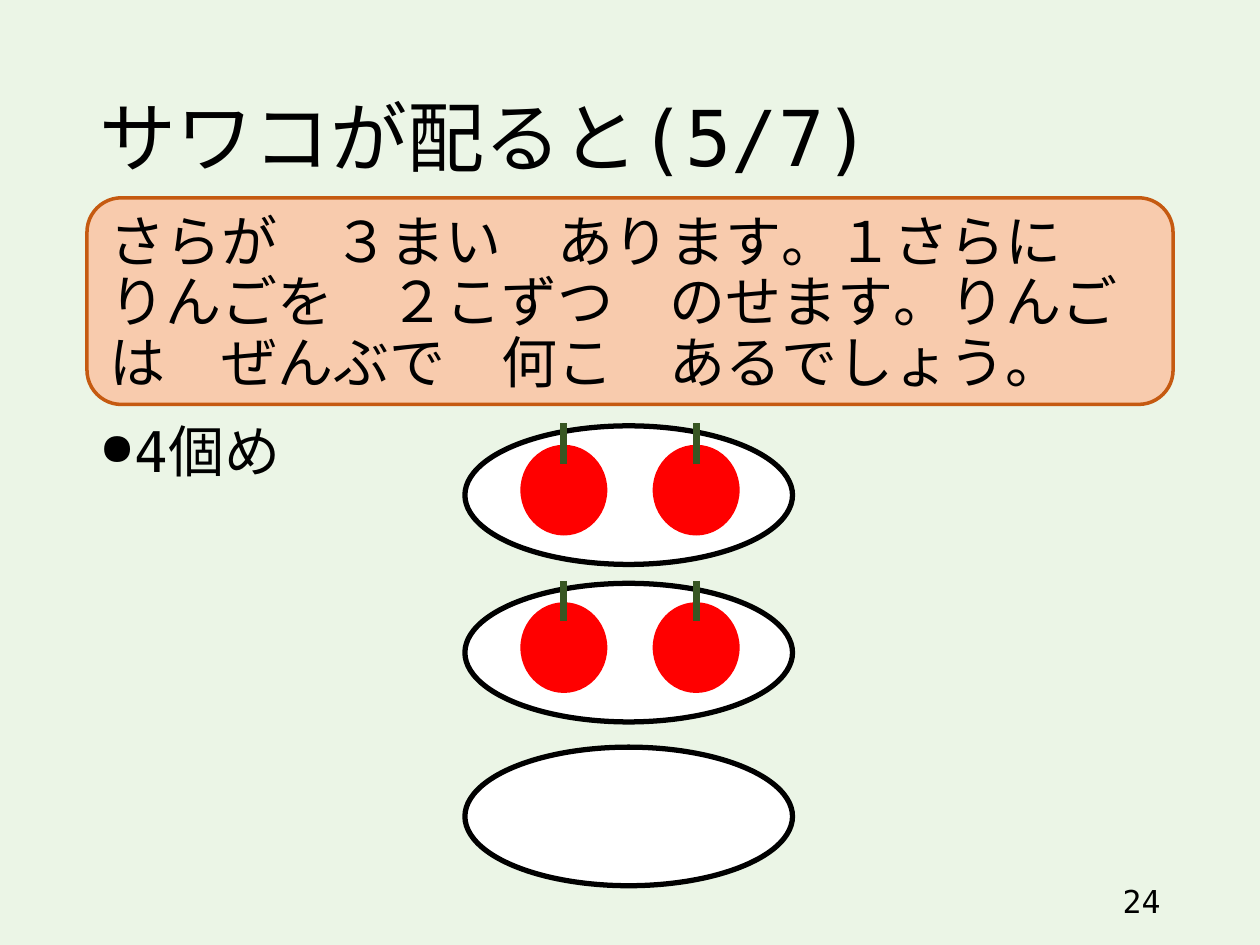
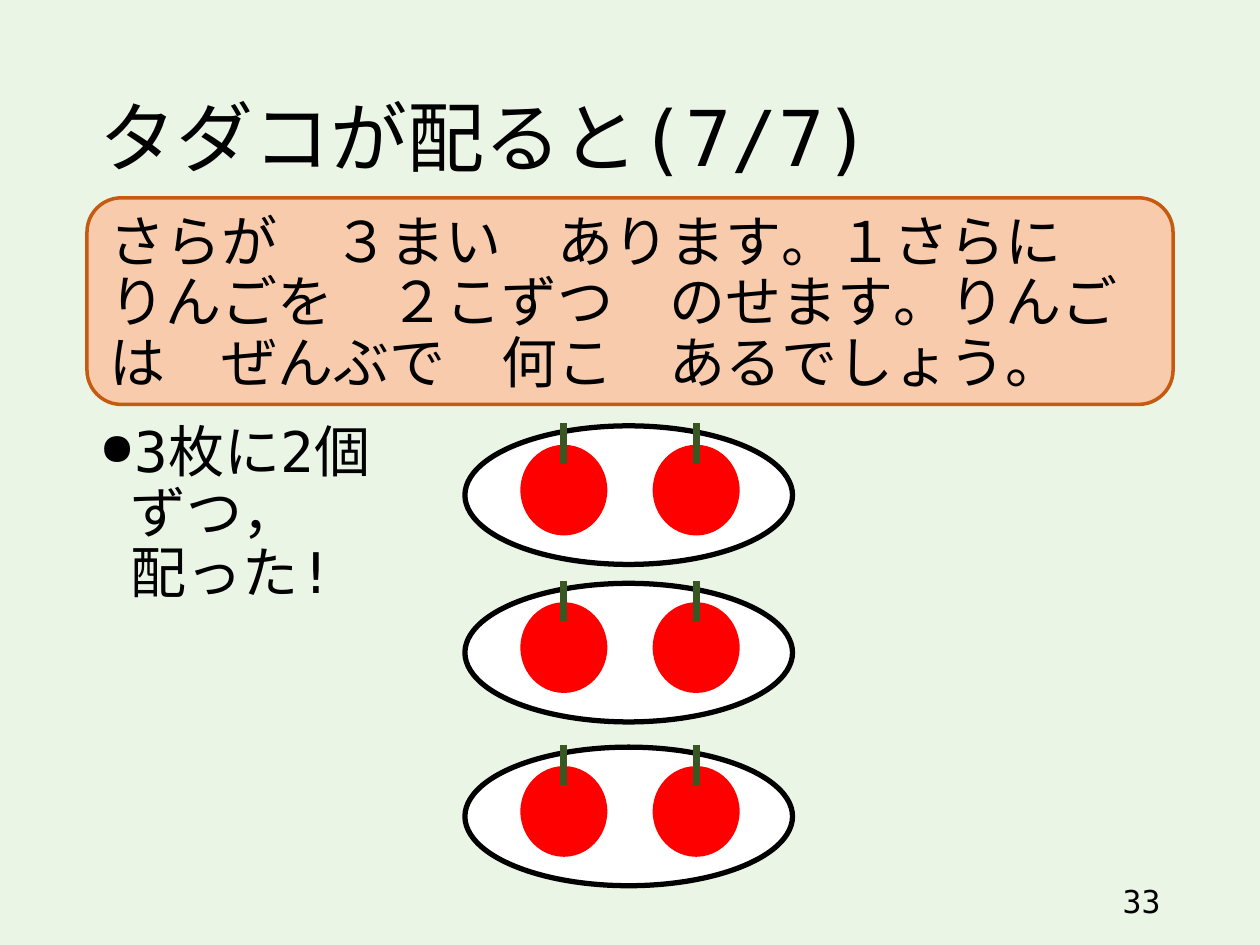
"""Build two slides that deal apples onto three plates."""
from lxml.etree import SubElement
from pptx import Presentation
from pptx.dml.color import RGBColor
from pptx.enum.lang import MSO_LANGUAGE_ID
from pptx.enum.shapes import MSO_CONNECTOR, MSO_SHAPE
from pptx.enum.text import MSO_ANCHOR, MSO_AUTO_SIZE, PP_ALIGN
from pptx.oxml.ns import qn
from pptx.util import Inches, Pt

PROBLEM = "さらが　３まい　あります。１さらに　りんごを　２こずつ　のせます。りんごは　ぜんぶで　何こ　あるでしょう。"
SLIDES = [
    {"title": "サワコが配ると(5/7)", "step": "4個め", "number": "24", "apples": (2, 2, 0)},
    {"title": "タダコが配ると(7/7)", "step": "3枚に2個\vずつ，\v配った!", "number": "33", "apples": (2, 2, 2)},
]

FONT = "DejaVu Sans Mono"
COLOURS = {"page": "EBF5E6", "text": "000000", "panel": "F8CBAD", "panel line": "C55A11",
           "plate": "FFFFFF", "apple": "FF0000", "stem": "385723"}
WIDTH, HEIGHT = 10, 7.5
MARGIN = 0.69
CONTENT = WIDTH - 2 * MARGIN
PLATE_LEFT, PLATE_WIDTH, PLATE_HEIGHT = 3.69, 2.6, 1.1
PLATE_TOPS = (3.38, 4.63, 5.93)
APPLE_WIDTH, APPLE_HEIGHT, APPLE_STEP = 0.69, 0.72, 1.05
APPLE_INSET, APPLE_DROP = 0.44, 0.15
STEM_RISE, STEM_LENGTH = 0.17, 0.32


def colour(name):
    return RGBColor.from_string(COLOURS[name])


def inches(*lengths):
    return [Inches(length) for length in lengths]


def write(box, text, size, anchor=MSO_ANCHOR.TOP, align=PP_ALIGN.LEFT, spacing=0.9):
    frame = box.text_frame
    frame.word_wrap = True
    frame.auto_size = MSO_AUTO_SIZE.NONE
    frame.vertical_anchor = anchor
    para = frame.paragraphs[0]
    para.text = text
    para.alignment = align
    para.line_spacing = spacing
    for span in para.runs:
        span.font.size = Pt(size)
        span.font.name = FONT
        span.font.language_id = MSO_LANGUAGE_ID.JAPANESE
        span.font.color.rgb = colour("text")
        SubElement(span.font._element, qn("a:ea"), typeface=FONT)
    return para


def add_filled(shapes, kind, place, fill, line=None, weight=0):
    shape = shapes.add_shape(kind, *inches(*place))
    shape.shadow.inherit = False
    shape.fill.solid()
    shape.fill.fore_color.rgb = colour(fill)
    if line:
        shape.line.color.rgb = colour(line)
        shape.line.width = Pt(weight)
    else:
        shape.line.fill.background()
    return shape


def add_apple(page, left, top):
    group = page.shapes.add_group_shape()
    add_filled(group.shapes, MSO_SHAPE.OVAL, (left, top, APPLE_WIDTH, APPLE_HEIGHT), "apple")
    middle, stem_top = left + APPLE_WIDTH / 2, top - STEM_RISE
    stem = group.shapes.add_connector(
        MSO_CONNECTOR.STRAIGHT, *inches(middle, stem_top, middle, stem_top + STEM_LENGTH))
    stem.line.color.rgb = colour("stem")
    stem.line.width = Pt(4)
    SubElement(stem._element.spPr, qn("a:effectLst"))


def add_plate(page, top, apples):
    add_filled(page.shapes, MSO_SHAPE.OVAL, (PLATE_LEFT, top, PLATE_WIDTH, PLATE_HEIGHT), "plate", "text", 3)
    for column in range(apples):
        add_apple(page, PLATE_LEFT + APPLE_INSET + column * APPLE_STEP, top + APPLE_DROP)


def add_step(page, text):
    box = page.shapes.add_textbox(*inches(MARGIN, 3.32, CONTENT, 3.43))
    para = write(box, text, 32)
    properties = para._p.get_or_add_pPr()
    properties.set("marL", str(Inches(0.25)))
    properties.set("indent", str(Inches(-0.25)))
    SubElement(properties, qn("a:buSzPct"), val="80000")
    SubElement(properties, qn("a:buChar"), char="●")


def add_page(deck, content):
    page = deck.slides.add_slide(deck.slide_layouts[5])
    title = page.shapes.title
    title.left, title.top, title.width, title.height = inches(MARGIN, 0.4, CONTENT, 1.45)
    write(title, content["title"], 44, MSO_ANCHOR.MIDDLE)
    number = page.shapes.add_textbox(*inches(WIDTH - MARGIN - 2.25, 6.95, 2.25, 0.4))
    write(number, content["number"], 18, MSO_ANCHOR.MIDDLE, PP_ALIGN.RIGHT, 1.0)
    panel = add_filled(page.shapes, MSO_SHAPE.ROUNDED_RECTANGLE, (MARGIN, 1.57, CONTENT, 1.64),
                       "panel", "panel line", 2)
    write(panel, PROBLEM, 32)
    for top, apples in zip(PLATE_TOPS, content["apples"]):
        add_plate(page, top, apples)
    add_step(page, content["step"])


def main():
    deck = Presentation()
    deck.slide_width, deck.slide_height = inches(WIDTH, HEIGHT)
    background = deck.slide_master.background.fill
    background.solid()
    background.fore_color.rgb = colour("page")
    for content in SLIDES:
        add_page(deck, content)
    deck.save("out.pptx")


if __name__ == "__main__":
    main()
